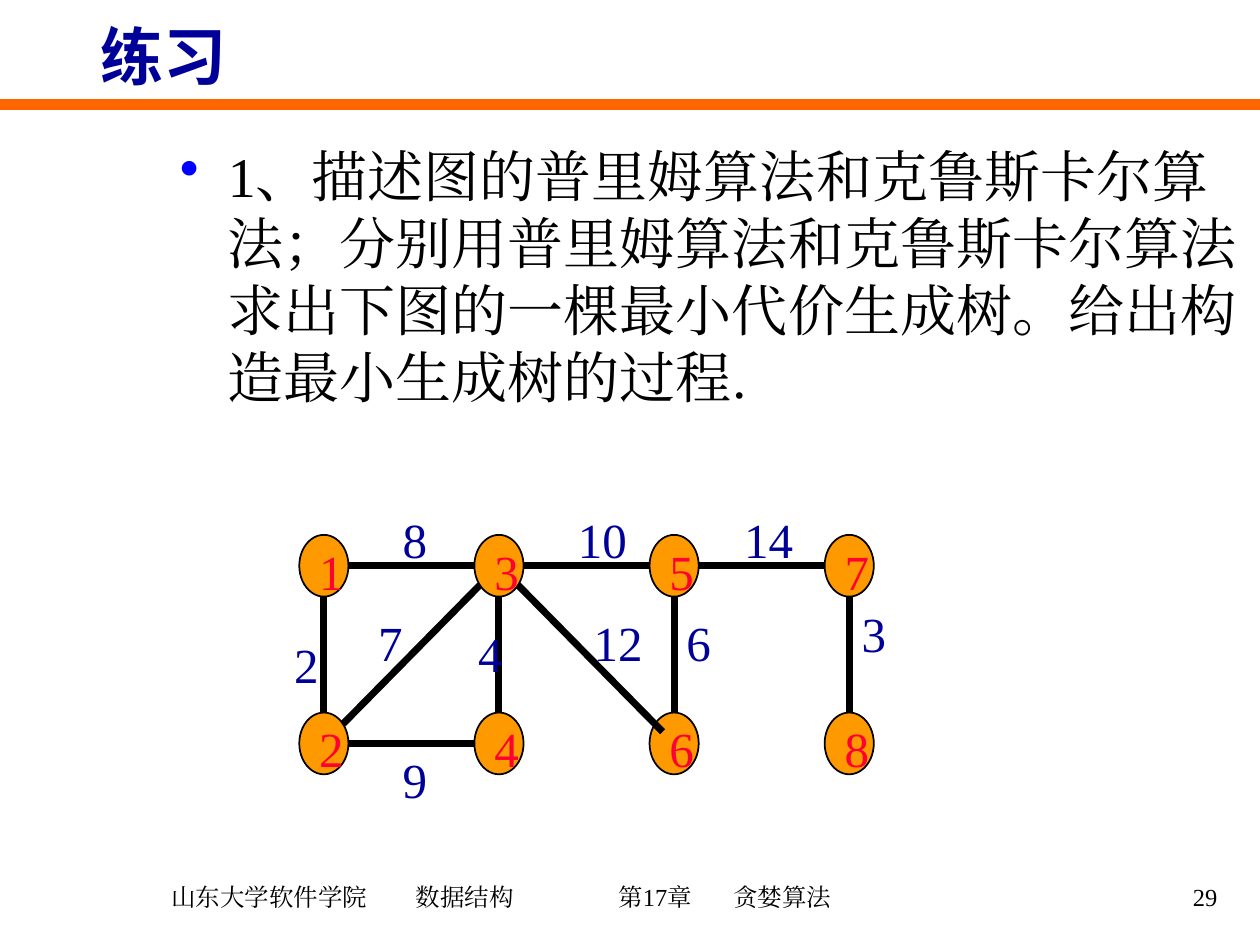
from math import hypot

from lxml.etree import SubElement
from pptx import Presentation
from pptx.dml.color import RGBColor
from pptx.enum.shapes import MSO_CONNECTOR as Connector, MSO_SHAPE as Shape
from pptx.enum.text import MSO_ANCHOR as Anchor, PP_ALIGN as Align
from pptx.oxml.ns import qn
from pptx.util import Inches, Pt

COLORS = {
    "rule": "FF6600", "title": "000099", "ink": "000000", "bullet": "0000FF",
    "node": "FF9900", "digit": "FF0033", "weight": "000099",
}
SERIF, SANS = "Times New Roman", "Noto Sans CJK SC"
LEFT, TOP, COLUMN, ROW = 2.57, 4.49, 1.39, 1.41
NODE_W, NODE_H = 0.39, 0.49

NODES = {
    str(2 * column + row + 1): (column, row)
    for row in range(2) for column in range(4)
}
EDGES = [
    ("1", "2", "2", (-0.24, 0.35)),
    ("3", "4", "4", (0.81, 0.29)),
    ("5", "6", "6", (2, 0.23)),
    ("7", "8", "3", (3, 0.18)),
    ("1", "3", "8", (0.38, -0.35)),
    ("3", "5", "10", (1.38, -0.35)),
    ("5", "7", "14", (2.33, -0.35)),
    ("2", "4", "9", (0.38, 1)),
    ("2", "3", "7", (0.24, 0.23)),
    ("3", "6", "12", (1.47, 0.23)),
]
INSIDE = {("3", "6"): 0.6}


def color(name):
    return RGBColor.from_string(COLORS[name])


def grid(column, row):
    return LEFT + column * COLUMN, TOP + row * ROW


class Board:
    def __init__(self, deck):
        self.page = deck.slides.add_slide(deck.slide_layouts[5])
        self.shapes = self.page.shapes

    def span(self, para, text, size, ink, font=SERIF, bold=False):
        span = para.add_run()
        span.text = text
        span.font.name = font
        span.font.size = Pt(size)
        span.font.bold = bold
        span.font.color.rgb = color(ink)
        SubElement(span.font._element, qn("a:ea"), typeface=font)

    def title(self, text, place):
        box = self.shapes.title
        box.left, box.top, box.width, box.height = map(Inches, place)
        box.text_frame.vertical_anchor = Anchor.MIDDLE
        para = box.text_frame.paragraphs[0]
        para.alignment = Align.LEFT
        self.span(para, text, 36, "title", SANS, True)

    def text(self, text, place, size, ink, align=Align.LEFT, anchor=Anchor.TOP,
             bullet=False, tabs=()):
        box = self.shapes.add_textbox(*map(Inches, place))
        box.text_frame.word_wrap = True
        box.text_frame.vertical_anchor = anchor
        para = box.text_frame.paragraphs[0]
        para.alignment = align
        layout = para._p.get_or_add_pPr()
        if bullet:
            layout.set("marL", str(Inches(0.38)))
            layout.set("indent", str(-Inches(0.38)))
            tint = SubElement(layout, qn("a:buClr"))
            SubElement(tint, qn("a:srgbClr"), val=COLORS["bullet"])
            SubElement(layout, qn("a:buChar"), char="•")
        if tabs:
            stops = SubElement(layout, qn("a:tabLst"))
            for stop in tabs:
                SubElement(stops, qn("a:tab"), pos=str(Inches(stop)), algn="l")
        self.span(para, text, size, ink)

    def line(self, start, end, ink, width):
        line = self.shapes.add_connector(
            Connector.STRAIGHT, *map(Inches, (*start, *end)))
        line.line.color.rgb = color(ink)
        line.line.width = Pt(width)
        SubElement(line._element.spPr, qn("a:effectLst"))

    def node(self, name):
        x, y = grid(*NODES[name])
        left, top = x - NODE_W / 2, y - NODE_H / 2
        oval = self.shapes.add_shape(
            Shape.OVAL, *map(Inches, (left, top, NODE_W, NODE_H)))
        oval.shadow.inherit = False
        oval.fill.solid()
        oval.fill.fore_color.rgb = color("node")
        oval.line.color.rgb = color("ink")
        oval.line.width = Pt(1)
        self.text(name, (left + 0.06, top, 0.2, 0.57), 28, "digit")

    def edge(self, first, second):
        (x1, y1), (x2, y2) = grid(*NODES[first]), grid(*NODES[second])
        dx, dy = x2 - x1, y2 - y1
        trim = 1 / hypot(2 * dx / NODE_W, 2 * dy / NODE_H)
        stop = trim * INSIDE.get((first, second), 1)
        self.line((x1 + dx * trim, y1 + dy * trim),
                  (x2 - dx * stop, y2 - dy * stop), "ink", 4)

    def weight(self, text, spot):
        width = 0.26 if len(text) == 1 else 0.66
        self.text(text, (*grid(*spot), width, 0.57), 28, "weight")


def main():
    deck = Presentation()
    deck.slide_width, deck.slide_height = Inches(10), Inches(7.5)
    board = Board(deck)
    board.line((0, 0.83), (10, 0.83), "rule", 6)
    board.title("练习", (0.7, -0.06, 8.5, 1))
    board.text(
        "1、描述图的普里姆算法和克鲁斯卡尔算法；分别用普里姆算法和克鲁斯卡尔算法"
        "求出下图的一棵最小代价生成树。给出构造最小生成树的过程.",
        (1.33, 1.07, 8.67, 4.75), 32, "ink", bullet=True)
    for name in NODES:
        board.node(name)
    for first, second, *_ in EDGES:
        board.edge(first, second)
    for *_, text, spot in EDGES:
        board.weight(text, spot)
    board.text("山东大学软件学院\t数据结构\t第17章\t贪婪算法",
               (1.26, 6.86, 5.95, 0.51), 14, "ink",
               anchor=Anchor.MIDDLE, tabs=(1.94, 3.55, 4.46))
    board.text("29", (7.68, 6.87, 2.08, 0.5), 14, "ink",
               align=Align.RIGHT, anchor=Anchor.MIDDLE)
    deck.save("out.pptx")


if __name__ == "__main__":
    main()
